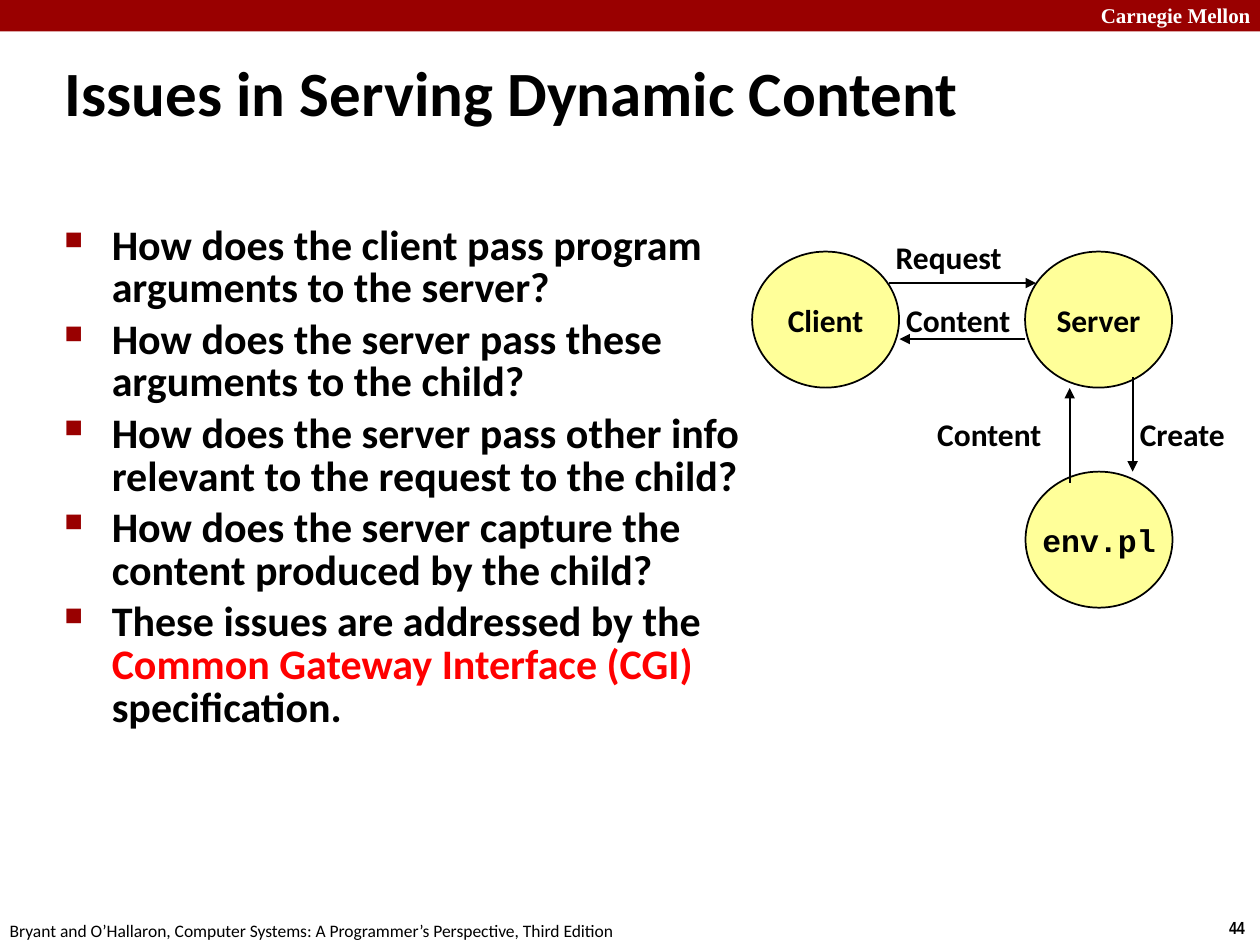
from lxml import etree
from pptx import Presentation
from pptx import util as u
from pptx.dml.color import RGBColor
from pptx.enum import shapes, text
from pptx.oxml import ns

COL = {"bar": "990000", "node": "FFFF99", "ink": "000000",
       "key": "FF0000", "white": "FFFFFF"}
LEFT, MID = text.PP_ALIGN.LEFT, text.PP_ALIGN.CENTER
TOP, CTR = text.MSO_ANCHOR.TOP, text.MSO_ANCHOR.MIDDLE


def rgb(name):
    return RGBColor.from_string(COL[name])


def sub(node, tag, **attrs):
    return etree.SubElement(node, ns.qn(tag), attrs)


class Deck:
    base = {"name": "Calibri", "size": 18, "bold": True}

    def __init__(self, wide, high):
        self.prs = Presentation()
        self.prs.slide_width, self.prs.slide_height = u.Pt(wide), u.Pt(high)
        self.slide = self.prs.slides.add_slide(self.prs.slide_layouts[6])

    def run(self, para, words, color="ink", **style):
        run = para.add_run()
        run.text = words
        form = {**self.base, **style}
        form["size"] = u.Pt(form["size"])
        for key, val in form.items():
            setattr(run.font, key, val)
        run.font.color.rgb = rgb(color)

    def frame(self, shape, wrap=False, anchor=TOP):
        body = shape.text_frame
        form = {"word_wrap": wrap, "vertical_anchor": anchor,
                "margin_left": u.Pt(7.2), "margin_right": u.Pt(7.2),
                "margin_top": u.Pt(3.6), "margin_bottom": u.Pt(3.6)}
        for key, val in form.items():
            setattr(body, key, val)
        return body

    def box(self, area, wrap=False, anchor=TOP):
        shape = self.slide.shapes.add_textbox(*map(u.Pt, area))
        return self.frame(shape, wrap, anchor)

    def label(self, area, words, wrap=False, anchor=TOP, **style):
        self.run(self.box(area, wrap, anchor).paragraphs[0], words, **style)

    def shape(self, kind, area, fill, line=None):
        shape = self.slide.shapes.add_shape(kind, *map(u.Pt, area))
        shape.shadow.inherit = False
        shape.fill.solid()
        shape.fill.fore_color.rgb = rgb(fill)
        if line:
            shape.line.color.rgb = rgb(line)
            shape.line.width = u.Pt(1)
        else:
            shape.line.fill.background()
        return shape

    def node(self, left, top, words, **style):
        area = (left, top, 84, 77.75)
        oval = self.shape(shapes.MSO_SHAPE.OVAL, area, "node", "ink")
        para = self.frame(oval, anchor=CTR).paragraphs[0]
        para.alignment = MID
        self.run(para, words, **style)

    def arrow(self, *ends):
        line = self.slide.shapes.add_connector(
            shapes.MSO_CONNECTOR.STRAIGHT, *map(u.Pt, ends))
        line.line.color.rgb = rgb("ink")
        line.line.width = u.Pt(1)
        sub(line.line._get_or_add_ln(), "a:tailEnd", type="triangle")
        sub(line._element.spPr, "a:effectLst")

    def bullets(self, area, items):
        body = self.box(area, wrap=True)
        for num, parts in enumerate(items):
            para = body.add_paragraph() if num else body.paragraphs[0]
            props = para._p.get_or_add_pPr()
            props.set("marL", str(u.Pt(27)))
            props.set("indent", str(u.Pt(-27)))
            sub(sub(props, "a:buClr"), "a:srgbClr", val=COL["bar"])
            sub(props, "a:buSzPct", val="60000")
            sub(props, "a:buChar", char="■")
            form = {"alignment": LEFT, "line_spacing": 0.85,
                    "space_before": u.Pt(4.8 if num else 0)}
            for key, val in form.items():
                setattr(para, key, val)
            for words, color in parts:
                self.run(para, words, color, size=24)


def main():
    deck = Deck(720, 540)

    # Header bar and footer
    deck.shape(shapes.MSO_SHAPE.RECTANGLE, (0, 0, 720, 18), "bar")
    deck.label((622, -2, 103, 22), "Carnegie Mellon", wrap=True,
               name="Times New Roman", size=12, color="white")
    deck.label((695.25, 520.5, 24.5, 19.5), "44", name="Arial Narrow", size=10)
    deck.label((-1.5, 522, 366, 19.5),
               "Bryant and O’Hallaron, Computer Systems: "
               "A Programmer’s Perspective, Third Edition",
               size=10, bold=False)

    # Title and questions
    deck.label((30, 27, 654, 45), "Issues in Serving Dynamic Content",
               wrap=True, size=36)
    asks = ["How does the client pass program arguments to the server?",
            "How does the server pass these arguments to the child?",
            "How does the server pass other info relevant to the request "
            "to the child?",
            "How does the server capture the content produced by the child?"]
    last = [("These issues are addressed by the ", "ink"),
            ("Common Gateway Interface (CGI) ", "key"),
            ("specification.", "ink")]
    deck.bullets((29.75, 125.5, 422, 380),
                 [[(ask, "ink")] for ask in asks] + [last])

    # Processes
    deck.node(429.75, 143.75, "Client")
    deck.node(585.75, 143.75, "Server")
    deck.node(586, 269.5, "env.pl", name="Courier New")

    # Messages, each drawn towards its receiver
    for ends in [(507.75, 161.75, 592, 161.75), (585.75, 193.75, 514, 193.75),
                 (611.25, 275.75, 611.25, 221.75),
                 (647.25, 215.5, 647.25, 269.5)]:
        deck.arrow(*ends)
    for left, top, wide, words in [(504.75, 132, 76, "Request"),
                                   (510.75, 168, 75, "Content"),
                                   (528.5, 233.5, 75, "Content"),
                                   (644.25, 233.5, 64, "Create")]:
        deck.label((left, top, wide, 29), words, anchor=CTR)

    deck.prs.save("out.pptx")


if __name__ == "__main__":
    main()
